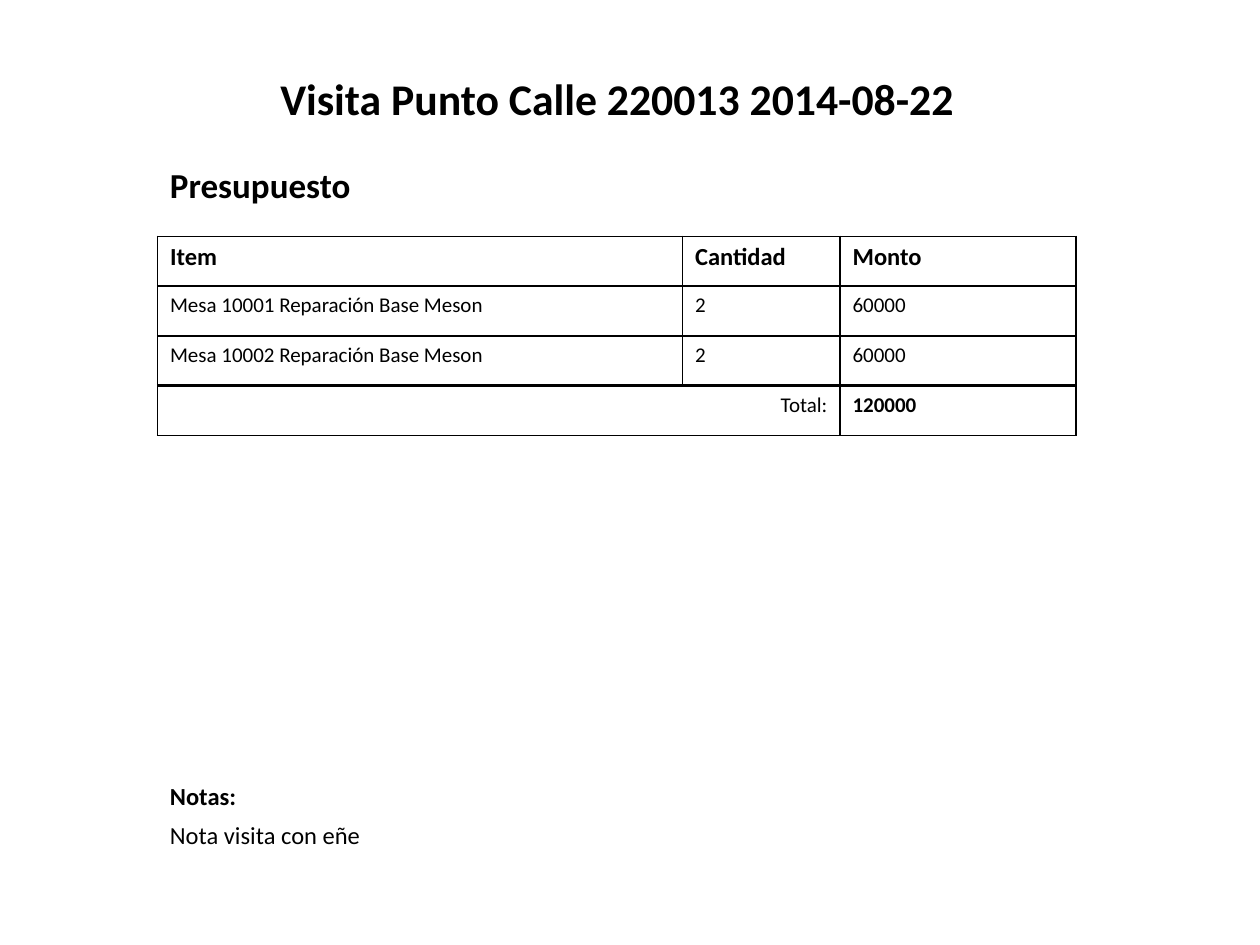
"""Build a one-slide visit budget with a table and notes."""
from lxml import etree
from pptx import Presentation
from pptx.dml.color import RGBColor
from pptx.enum.text import MSO_ANCHOR, MSO_AUTO_SIZE, PP_ALIGN
from pptx.oxml.ns import qn
from pptx.util import Pt

BLACK = RGBColor(0, 0, 0)
WHITE = RGBColor(255, 255, 255)
FONT = "Calibri"
LEFT = 90
TEXT_WIDTH = 450
COLUMN_WIDTHS = (300, 90, 135)
ROW_HEIGHT = 28.5
BUDGET = (
    ("Item", "Cantidad", "Monto"),
    ("Mesa 10001 Reparación Base Meson", "2", "60000"),
    ("Mesa 10002 Reparación Base Meson", "2", "60000"),
    ("", "Total:", "120000"),
)


def write(frame, text, size, bold=False, align=PP_ALIGN.LEFT):
    paragraph = frame.paragraphs[0]
    paragraph.alignment = align
    paragraph.font.size = Pt(size)
    if not text:
        return
    run = paragraph.add_run()
    run.text = text
    run.font.name = FONT
    run.font.size = Pt(size)
    run.font.bold = bold
    run.font.color.rgb = BLACK


def place_text(shape, top, height, text, size, left=LEFT, **style):
    shape.left, shape.top = Pt(left), Pt(top)
    shape.width, shape.height = Pt(TEXT_WIDTH), Pt(height)
    frame = shape.text_frame
    frame.word_wrap = True
    frame.auto_size = MSO_AUTO_SIZE.SHAPE_TO_FIT_TEXT
    frame.vertical_anchor = MSO_ANCHOR.TOP
    write(frame, text, size, **style)


def add_text(slide, *content, **style):
    box = slide.shapes.add_textbox(0, 0, 0, 0)
    place_text(box, *content, **style)


def set_borders(cell, widths):
    properties = cell._tc.get_or_add_tcPr()
    for index, (side, width) in enumerate(widths.items()):
        line = etree.Element(qn(f"a:ln{side}"), w=str(Pt(width)))
        if width:
            fill = etree.SubElement(line, qn("a:solidFill"))
            etree.SubElement(fill, qn("a:srgbClr"), val=str(BLACK))
        else:
            etree.SubElement(line, qn("a:noFill"))
        properties.insert(index, line)


def add_budget_table(slide, top):
    rows, columns = len(BUDGET), len(COLUMN_WIDTHS)
    frame = slide.shapes.add_table(
        rows, columns, Pt(LEFT), Pt(top),
        Pt(sum(COLUMN_WIDTHS)), Pt(ROW_HEIGHT * rows))
    table = frame.table
    table.first_row = table.horz_banding = False
    for column, width in zip(table.columns, COLUMN_WIDTHS):
        column.width = Pt(width)
    for r, values in enumerate(BUDGET):
        table.rows[r].height = Pt(ROW_HEIGHT)
        is_header, is_total = r == 0, r == rows - 1
        for c, value in enumerate(values):
            cell = table.cell(r, c)
            cell.fill.solid()
            cell.fill.fore_color.rgb = WHITE
            write(cell.text_frame, value, 14 if is_header else 12,
                  bold=is_header or (is_total and c == columns - 1),
                  align=PP_ALIGN.RIGHT if is_total and c == 1 else PP_ALIGN.LEFT)
            set_borders(cell, {
                "L": 0 if is_total and c == 1 else 1,
                "R": 0 if is_total and c == 0 else 1,
                "T": 2 if is_total else 1,
                "B": 2 if r == rows - 2 else 1,
            })


def main():
    presentation = Presentation()
    presentation.slide_width, presentation.slide_height = Pt(720), Pt(540)
    slide = presentation.slides.add_slide(presentation.slide_layouts[5])
    place_text(slide.shapes.title, 37.5, 38, "Visita Punto Calle 220013 2014-08-22",
               25, left=127.5, bold=True, align=PP_ALIGN.CENTER)
    add_text(slide, 90, 32, "Presupuesto", 20, bold=True)
    add_budget_table(slide, 135)
    add_text(slide, 442.5, 24, "Notas:", 14, bold=True)
    add_text(slide, 465, 24, "Nota visita con eñe", 14)
    presentation.save("out.pptx")


main()
